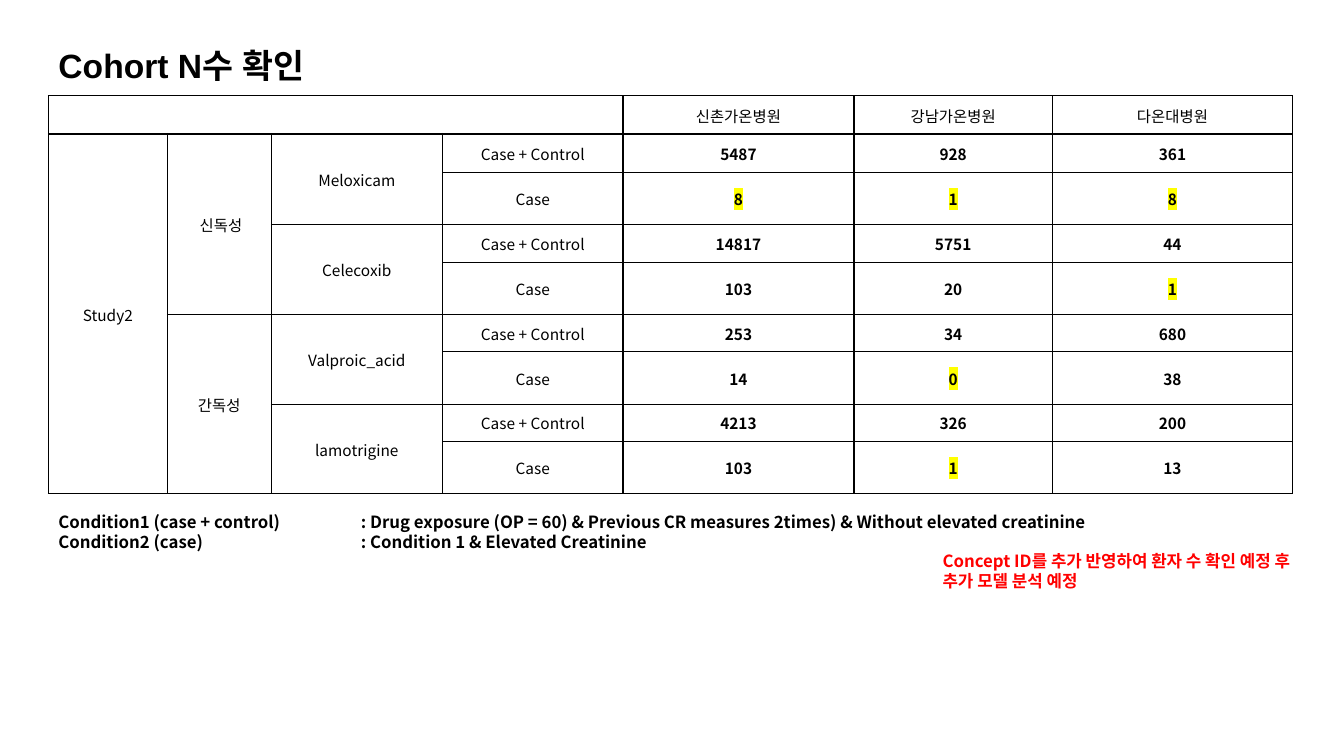
import pptx
import pptx.util
import pptx.dml.color
import pptx.enum.text
import pptx.oxml.ns
from lxml import etree

Inches, Pt = pptx.util.Inches, pptx.util.Pt
ALIGN, ANCHOR = pptx.enum.text.PP_ALIGN, pptx.enum.text.MSO_ANCHOR
FIT = pptx.enum.text.MSO_AUTO_SIZE
qn = pptx.oxml.ns.qn

HUES = {"ink": "000000", "alert": "FF0000", "mark": "FFFF00"}
SANS = "Noto Sans CJK KR"
WIDE, HIGH = 13.33, 7.5
LEFT, SPAN = 0.48, 12.34

COLS = [1.18, 1.03, 1.7, 1.79, 2.29, 1.97, 2.38]
ROWS = [0.38, 0.38, 0.52] + [0.37, 0.52] * 3
DEPTH = [8, 4, 2, 1, 1, 1, 1]  # rows covered by one cell of each column
SITES = ["신촌가온병원", "강남가온병원", "다온대병원"]
LABELS = [
    ["Study2"],
    [" 신독성", "간독성"],
    ["Meloxicam", "Celecoxib", "Valproic_acid", "lamotrigine"],
    ["Case + Control", "Case"] * 4,
]
COUNTS = [
    [5487, 928, 361], [8, 1, 8],
    [14817, 5751, 44], [103, 20, 1],
    [253, 34, 680], [14, 0, 38],
    [4213, 326, 200], [103, 1, 13],
]
FEW = 10  # counts below this are highlighted


def add_run(para, text, size, font=SANS, hue="ink", bold=False, mark=False):
    run = para.add_run()
    run.text = text
    run.font.size, run.font.bold, run.font.name = Pt(size), bold, font
    run.font.color.rgb = pptx.dml.color.RGBColor.from_string(HUES[hue])
    props = run.font._element
    latin = props.find(qn("a:latin"))
    if mark:
        light = etree.Element(qn("a:highlight"))
        etree.SubElement(light, qn("a:srgbClr"), val=HUES["mark"])
        latin.addprevious(light)
    latin.addnext(etree.Element(qn("a:ea"), typeface=font))


def set_edges(cell, edges):
    """Draw left, right, top and bottom edges; a width of 0 hides one."""
    props = cell._tc.get_or_add_tcPr()
    for spot, (side, width) in enumerate(zip("LRTB", edges)):
        line = etree.Element(qn("a:ln" + side), w=str(Pt(width)))
        if width:
            fill = etree.SubElement(line, qn("a:solidFill"))
            etree.SubElement(fill, qn("a:srgbClr"), val=HUES["ink"])
        else:
            etree.SubElement(line, qn("a:noFill"))
        props.insert(spot, line)


def edge_widths(row, col):
    flat = {0: 1, 1: 2, len(ROWS): 1}
    sides = [0.5 if edge in (2, 3) else 1 for edge in (col, col + 1)]
    if row == 0:
        if col < 4:
            sides = [int(col == 0), int(col == 3)]
        return sides + [flat[0], flat[1]]
    depth = DEPTH[col]
    first = row - (row - 1) % depth
    last = first + depth
    top = flat.get(first, 0.5) if row == first else 0
    base = flat.get(last, 0.5) if row in (first, last - 1) else 0
    return sides + [top, base]


def cell_text(row, col):
    if row == 0:
        return SITES[col - 4] if col > 3 else ""
    if col > 3:
        return str(COUNTS[row - 1][col - 4])
    spot, rest = divmod(row - 1, DEPTH[col])
    return "" if rest else LABELS[col][spot]


def add_title(slide, left, top, width, height):
    title = slide.shapes.title
    title.left, title.top = Inches(left), Inches(top)
    title.width, title.height = Inches(width), Inches(height)
    frame = title.text_frame
    frame.auto_size, frame.vertical_anchor = FIT.NONE, ANCHOR.MIDDLE
    para = frame.paragraphs[0]
    para.alignment, para.line_spacing = ALIGN.LEFT, 0.9
    add_run(para, "Cohort N수 확인", 24, "Arial", bold=True)


def add_counts(slide, left, top, width, height):
    table = slide.shapes.add_table(
        len(ROWS), len(COLS), Inches(left), Inches(top),
        Inches(width), Inches(height)).table
    table.first_row = table.horz_banding = False
    for col, size in zip(table.columns, COLS):
        col.width = Inches(size)
    for row, size in zip(table.rows, ROWS):
        row.height = Inches(size)

    # Cells
    for row in range(len(ROWS)):
        for col in range(len(COLS)):
            cell = table.cell(row, col)
            cell.fill.background()
            set_edges(cell, edge_widths(row, col))
            cell.vertical_anchor = ANCHOR.MIDDLE
            cell.margin_left = cell.margin_right = Inches(0.01)
            cell.margin_top, cell.margin_bottom = Inches(0.01), 0
            text = cell_text(row, col)
            if text:
                para = cell.text_frame.paragraphs[0]
                para.alignment = ALIGN.CENTER
                count = row > 0 and col > 3
                add_run(para, text, 11, bold=count,
                        mark=count and int(text) < FEW)

    # Merged row labels
    for col, depth in enumerate(DEPTH[:3]):
        for row in range(1, len(ROWS), depth):
            table.cell(row, col).merge(table.cell(row + depth - 1, col))


def add_box(slide, left, top, width, height):
    box = slide.shapes.add_textbox(
        Inches(left), Inches(top), Inches(width), Inches(height))
    frame = box.text_frame
    frame.word_wrap, frame.auto_size = True, FIT.SHAPE_TO_FIT_TEXT
    return frame


def add_terms(slide, left, top, width, height):
    frame = add_box(slide, left, top, width, height)
    terms = [
        "Condition1 (case + control)\t: Drug exposure (OP = 60) & Previous CR"
        " measures 2times) & Without elevated creatinine",
        "Condition2 (case)\t: Condition 1 & Elevated Creatinine",
    ]
    for spot, term in enumerate(terms):
        para = frame.add_paragraph() if spot else frame.paragraphs[0]
        tabs = etree.SubElement(para._p.get_or_add_pPr(), qn("a:tabLst"))
        etree.SubElement(tabs, qn("a:tab"), pos=str(Inches(3)), algn="l")
        add_run(para, term, 12, bold=True)


def add_plan(slide, left, top, width, height):
    para = add_box(slide, left, top, width, height).paragraphs[0]
    add_run(para, "Concept ID를 추가 반영하여 환자 수 확인 예정 후", 12,
            hue="alert", bold=True)
    para.add_line_break()
    add_run(para, "추가 모델 분석 예정", 12, hue="alert", bold=True)


def main():
    deck = pptx.Presentation()
    deck.slide_width, deck.slide_height = Inches(WIDE), Inches(HIGH)
    slide = deck.slides.add_slide(deck.slide_layouts[5])
    add_title(slide, LEFT, 0.4, SPAN, 0.55)
    add_counts(slide, LEFT, 0.95, SPAN, sum(ROWS))
    add_terms(slide, LEFT, 5.03, 11.01, 0.5)
    add_plan(slide, 9.25, 5.41, 4.09, 0.5)
    deck.save("out.pptx")


if __name__ == "__main__":
    main()
